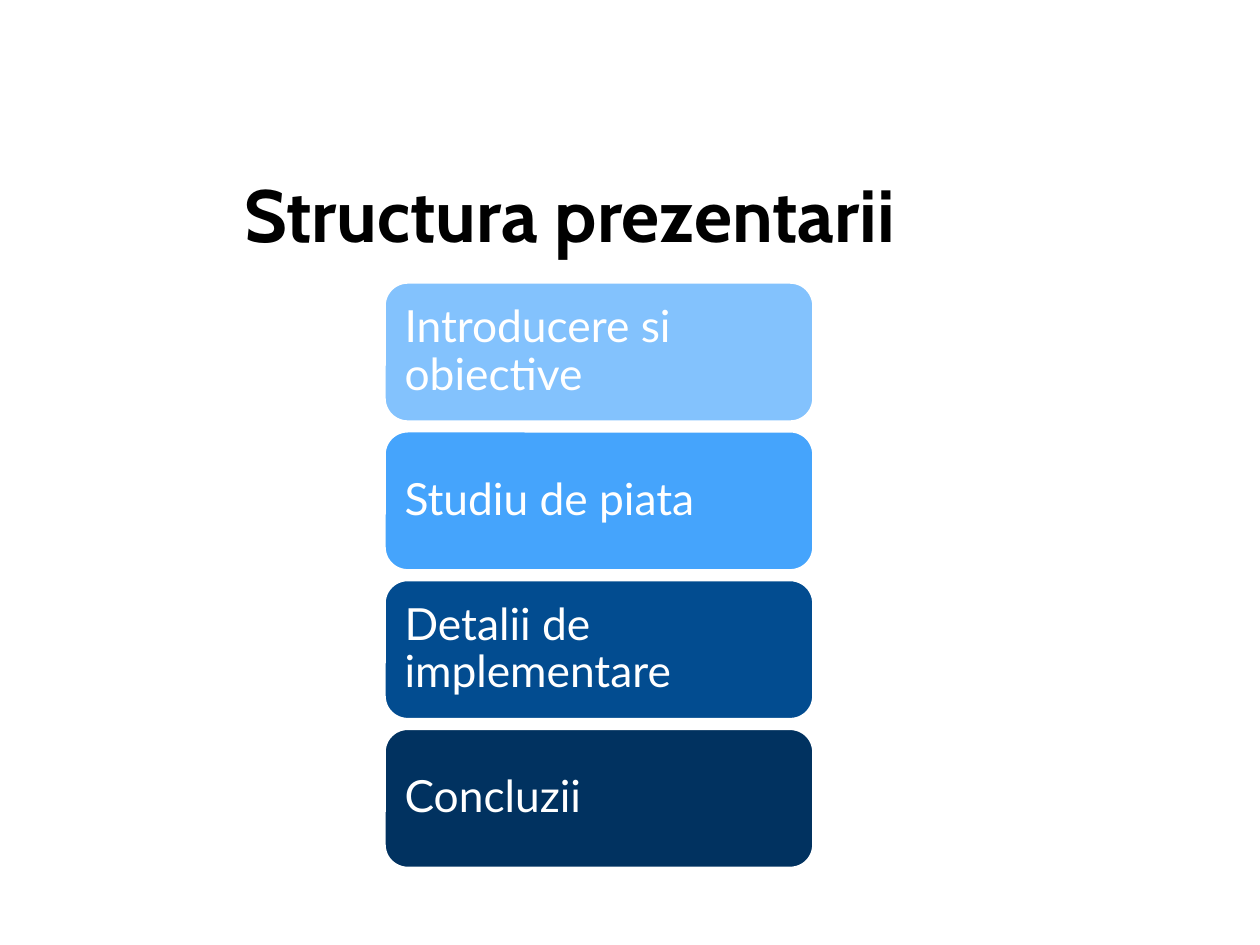
from pptx import Presentation
from pptx.dml.color import RGBColor
from pptx.enum.shapes import MSO_SHAPE
from pptx.enum.text import MSO_ANCHOR, PP_ALIGN
from pptx.util import Inches, Pt

COLORS = {
    "title": "000000",
    "white": "FFFFFF",
    "sky": "83C2FD",
    "azure": "45A4FC",
    "blue": "024C90",
    "navy": "013260",
}

SECTIONS = [
    ("Introducere si obiective", "sky"),
    ("Studiu de piata", "azure"),
    ("Detalii de implementare", "blue"),
    ("Concluzii", "navy"),
]

SECTION_LEFT, SECTION_TOP = 4.34, 3.19
SECTION_WIDTH, SECTION_HEIGHT = 4.84, 1.57
SECTION_PITCH = 1.68


def color(name):
    return RGBColor.from_string(COLORS[name])


def write_text(box, text, font, size, color_name, align, anchor, inset):
    frame = box.text_frame
    frame.text = text
    frame.word_wrap = True
    frame.vertical_anchor = anchor
    frame.margin_left = frame.margin_right = Inches(inset)
    frame.margin_top = frame.margin_bottom = Inches(inset)
    para = frame.paragraphs[0]
    para.alignment = align
    span = para.runs[0]
    span.font.name = font
    span.font.size = Pt(size)
    span.font.color.rgb = color(color_name)
    return para


def add_title(page, text):
    box = page.shapes.add_textbox(
        Inches(0.71), Inches(1.17), Inches(11.44), Inches(1.73))
    para = write_text(box, text, "Cabin", 60, "title",
                      PP_ALIGN.CENTER, MSO_ANCHOR.BOTTOM, 0)
    para.runs[0].font.bold = True


def add_section(page, top, text, fill):
    box = page.shapes.add_shape(
        MSO_SHAPE.ROUNDED_RECTANGLE, Inches(SECTION_LEFT), Inches(top),
        Inches(SECTION_WIDTH), Inches(SECTION_HEIGHT))
    box.shadow.inherit = False
    box.fill.solid()
    box.fill.fore_color.rgb = color(fill)
    box.line.color.rgb = color("white")
    box.line.width = Pt(2)
    para = write_text(box, text, "Lato", 36, "white",
                      PP_ALIGN.LEFT, MSO_ANCHOR.MIDDLE, 0.15)
    para.line_spacing = 0.9


def main():
    deck = Presentation()
    deck.slide_width = Inches(14.22)
    deck.slide_height = Inches(10.67)
    page = deck.slides.add_slide(deck.slide_layouts[6])

    # Heading
    add_title(page, "Structura prezentarii")

    # Stack of agenda sections, light to dark
    for index, (text, fill) in enumerate(SECTIONS):
        add_section(page, SECTION_TOP + index * SECTION_PITCH, text, fill)

    deck.save("out.pptx")


if __name__ == "__main__":
    main()
